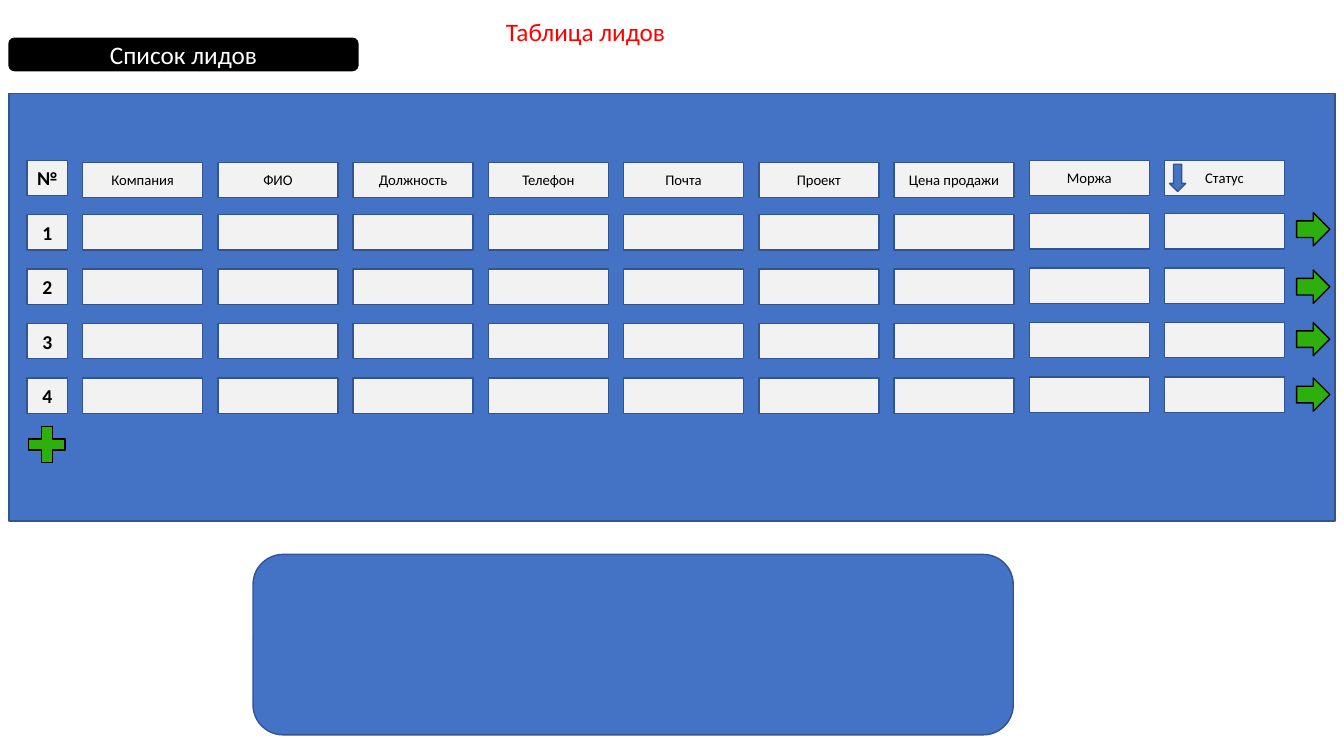
from pptx import Presentation
from pptx.dml.color import RGBColor
from pptx.enum.shapes import MSO_SHAPE
from pptx.enum.text import MSO_ANCHOR, PP_ALIGN
from pptx.util import Inches, Pt

RECT = MSO_SHAPE.RECTANGLE
ROUNDED = MSO_SHAPE.ROUNDED_RECTANGLE
PLUS = MSO_SHAPE.MATH_PLUS
RIGHT_ARROW = MSO_SHAPE.RIGHT_ARROW
DOWN_ARROW = MSO_SHAPE.DOWN_ARROW
MIDDLE = MSO_ANCHOR.MIDDLE
CENTER = PP_ALIGN.CENTER

COLORS = {
    "blue": "4472C4",
    "navy": "325491",
    "gray": "F2F2F2",
    "green": "2DB00E",
    "red": "FF0000",
    "black": "000000",
    "white": "FFFFFF",
}

HEADERS = ["Компания", "ФИО", "Должность", "Телефон", "Почта",
           "Проект", "Цена продажи", "Моржа", "Статус"]
RAISED_FROM = 7  # the last two columns sit slightly higher
NUMBER_LEFT, NUMBER_WIDTH = 0.27, 0.4
COLUMN_LEFT, COLUMN_RIGHT, COLUMN_WIDTH = 0.82, 11.55, 1.19
COLUMN_STEP = (COLUMN_RIGHT - COLUMN_LEFT) / (len(HEADERS) - 1)
HEADER_TOP, HEADER_RAISED_TOP = 1.61, 1.59
ROW_TOP, ROW_STEP, CELL_HEIGHT = 2.13, 0.54, 0.35
ARROW_TOPS = [2.11, 2.68, 3.2, 3.75]


def rgb(name):
    """Return the named colour."""
    return RGBColor.from_string(COLORS[name])


class LeadSlide:
    """Holds the style and the current slide."""

    font = "Calibri"

    def __init__(self, slide):
        """Keep the slide that receives the elements."""
        self.shapes = slide.shapes

    def set_text(self, frame, text, size, color, bold=False):
        """Set one styled line of text and return its paragraph."""
        frame.text = text
        paragraph = frame.paragraphs[0]
        font = paragraph.runs[0].font
        font.name, font.size, font.bold = self.font, Pt(size), bold
        font.color.rgb = rgb(color)
        return paragraph

    def block(self, kind, left, top, width, height, fill, line="navy"):
        """Add a filled and outlined preset shape."""
        shape = self.shapes.add_shape(
            kind, Inches(left), Inches(top), Inches(width), Inches(height))
        shape.shadow.inherit = False
        shape.fill.solid()
        shape.fill.fore_color.rgb = rgb(fill)
        shape.line.color.rgb = rgb(line)
        shape.line.width = Pt(1)
        return shape

    def label(self, shape, text, size, color="black", bold=False):
        """Centre text inside a shape."""
        frame = shape.text_frame
        frame.vertical_anchor = MIDDLE
        self.set_text(frame, text, size, color, bold).alignment = CENTER

    def cell(self, left, top, width):
        """Add one light field of the lead grid."""
        return self.block(RECT, left, top, width, CELL_HEIGHT, "gray")

    def number(self, top, text):
        """Add a bold field of the number column."""
        self.label(self.cell(NUMBER_LEFT, top, NUMBER_WIDTH), text, 14, bold=True)

    def caption(self, left, top, width, height, text, size, color):
        """Add a free line of text."""
        box = self.shapes.add_textbox(
            Inches(left), Inches(top), Inches(width), Inches(height))
        box.text_frame.word_wrap = True
        self.set_text(box.text_frame, text, size, color)


def draw_headers(page):
    """Draw the header row and the sort arrow."""
    page.number(HEADER_RAISED_TOP, "№")
    for column, header in enumerate(HEADERS):
        top = HEADER_RAISED_TOP if column >= RAISED_FROM else HEADER_TOP
        left = COLUMN_LEFT + column * COLUMN_STEP
        page.label(page.cell(left, top, COLUMN_WIDTH), header, 10.5)
    page.block(DOWN_ARROW, 11.6, 1.63, 0.16, 0.27, "blue")


def draw_rows(page):
    """Draw the numbered empty rows with their green arrows."""
    for row, arrow_top in enumerate(ARROW_TOPS):
        top = ROW_TOP + row * ROW_STEP
        page.number(top, str(row + 1))
        for column in range(len(HEADERS)):
            lift = 0.01 if column >= RAISED_FROM else 0
            page.cell(COLUMN_LEFT + column * COLUMN_STEP, top - lift, COLUMN_WIDTH)
        page.block(RIGHT_ARROW, 12.86, arrow_top, 0.33, 0.33, "green", "black")


def main():
    """Build and save the lead table slide."""
    deck = Presentation()
    deck.slide_width, deck.slide_height = Inches(13.33), Inches(7.5)
    page = LeadSlide(deck.slides.add_slide(deck.slide_layouts[6]))

    page.block(RECT, 0.09, 0.93, 13.15, 4.24, "blue")
    list_title = page.block(ROUNDED, 0.09, 0.38, 3.46, 0.32, "black", "black")
    page.label(list_title, "Список лидов", 18, "white")
    page.caption(4.92, 0.11, 6.09, 0.4, "Таблица лидов", 18, "red")
    draw_headers(page)
    draw_rows(page)
    page.block(PLUS, 0.22, 4.17, 0.49, 0.48, "green", "black")
    page.block(ROUNDED, 2.51, 5.5, 7.54, 1.79, "blue")

    deck.save("out.pptx")


main()
